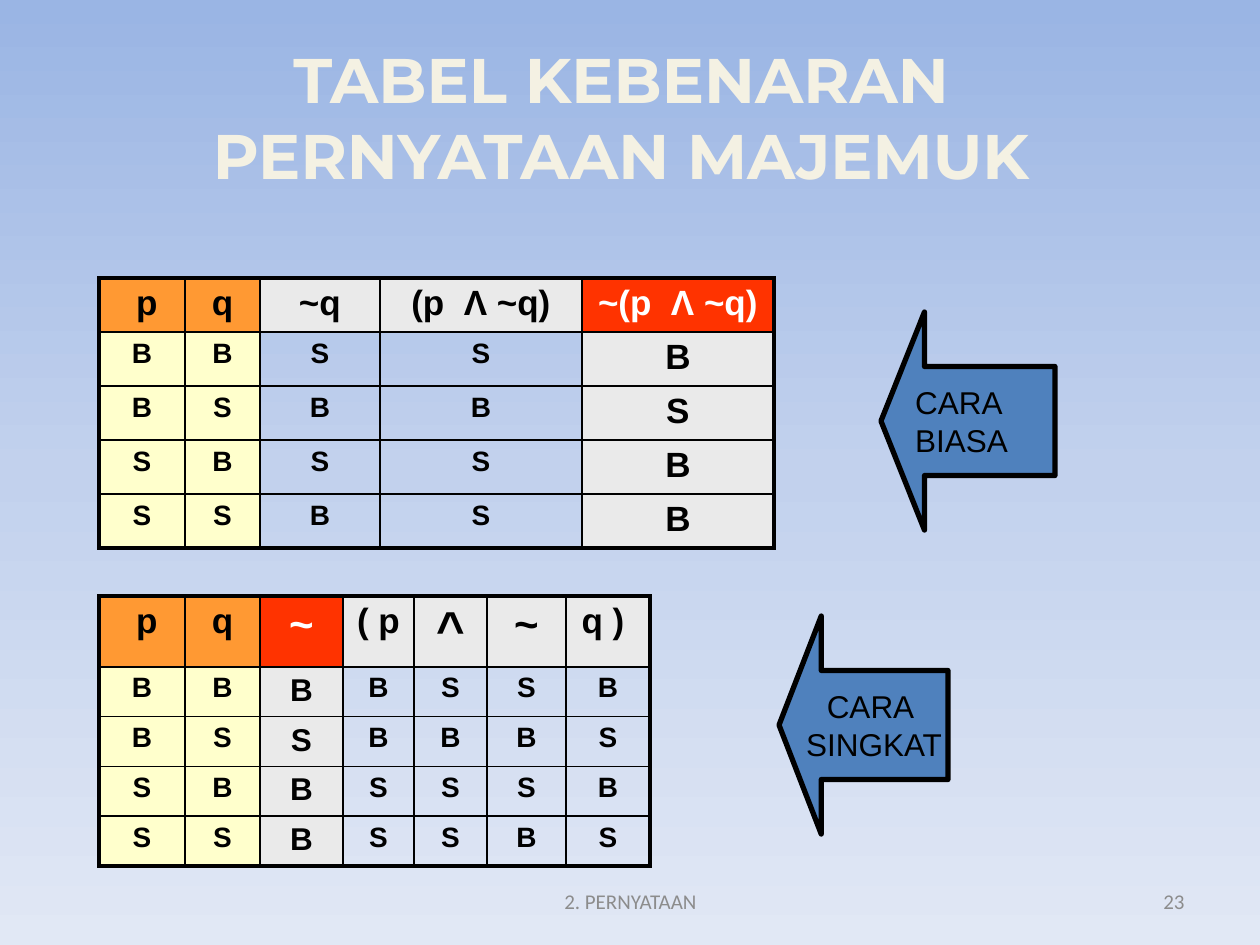
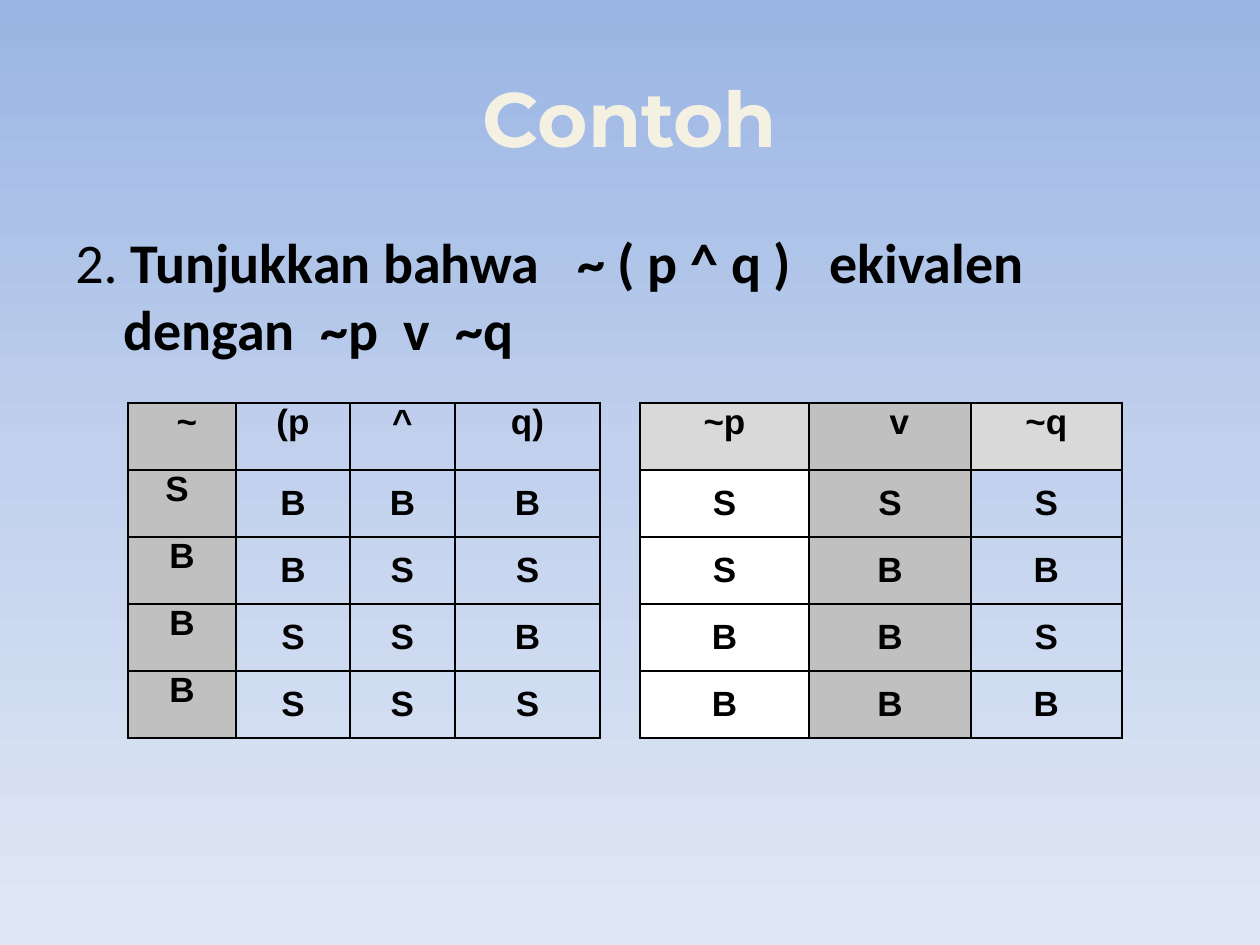
from copy import deepcopy
from dataclasses import dataclass
from typing import Optional

from lxml import etree
from pptx import Presentation, util as u
from pptx.dml.color import RGBColor
from pptx.enum import shapes, text
from pptx.oxml.ns import qn

EMU_PER_PX = 914400 / 126
TOP, MIDDLE = text.MSO_ANCHOR.TOP, text.MSO_ANCHOR.MIDDLE
LEFT, CENTER, RIGHT = text.PP_ALIGN.LEFT, text.PP_ALIGN.CENTER, text.PP_ALIGN.RIGHT


@dataclass(frozen=True)
class Theme:
    title_font: str = "Montserrat"
    body_font: str = "Calibri"
    table_font: str = "Arial"
    sky: tuple = ("9AB5E4", "C2D1ED", "E1E8F5")
    cream: str = "F4F1E3"
    title_edge: str = "054697"
    ink: str = "000000"
    white: str = "FFFFFF"
    footer: str = "8C8C8C"
    orange: str = "FF9933"
    yellow: str = "FFFFCC"
    red: str = "FF3300"
    pale: str = "EAEAEA"
    light_gray: str = "D9D9D9"
    gray: str = "C0C0C0"
    arrow: str = "4F81BD"
    long_title_size: int = 36
    title_size: int = 44
    body_size: int = 32
    header_size: int = 20
    tilde_size: int = 24
    caret_size: int = 28
    result_size: int = 18
    value_size: int = 16
    arrow_size: int = 18
    footer_size: int = 12
    thin: float = 1
    thick: float = 2.25
    arrow_line: float = 3


THEME = Theme()


@dataclass(frozen=True)
class Box:
    left: int
    top: int
    width: int
    height: int


@dataclass(frozen=True)
class Column:
    """One truth-table column: a header and one letter for each row below."""
    width: int
    header: str
    values: str
    header_fill: Optional[str] = None
    value_fill: Optional[str] = None
    header_size: int = THEME.header_size
    value_size: int = THEME.value_size
    header_color: str = THEME.ink
    value_anchor: text.MSO_ANCHOR = TOP


@dataclass(frozen=True)
class TruthTable:
    left: int
    top: int
    header_height: int
    row_height: int
    columns: tuple
    frame: float
    margin_x: int
    margin_y: int


@dataclass(frozen=True)
class Arrow:
    box: Box
    label: str
    align: text.PP_ALIGN


def px(length: int) -> u.Emu:
    return u.Emu(round(length * EMU_PER_PX))


def rgb(color: str) -> RGBColor:
    return RGBColor.from_string(color)


def style(paragraph, font: str, size: int, color: str, bold: bool = False,
          align: text.PP_ALIGN = CENTER) -> None:
    paragraph.alignment = align
    for run in paragraph.runs:
        run.font.name = font
        run.font.size = u.Pt(size)
        run.font.bold = bold
        run.font.color.rgb = rgb(color)


def line_xml(tag: str, width: float, color: str):
    line = etree.Element(qn(tag), w=str(u.Pt(width)))
    fill = etree.SubElement(line, qn("a:solidFill"))
    etree.SubElement(fill, qn("a:srgbClr"), val=color)
    return line


def add_slide(deck):
    """Add a blank slide with the shared sky gradient."""
    slide = deck.slides.add_slide(deck.slide_layouts[6])
    sky = slide.background.fill
    sky.gradient()
    sky.gradient_angle = 270
    stops = slide.element.find(".//" + qn("a:gsLst"))
    stops.append(deepcopy(stops[0]))
    for index, (stop, color) in enumerate(zip(sky.gradient_stops, THEME.sky)):
        stop.color.rgb = rgb(color)
        stop.position = index / 2
    return slide


def add_text(slide, box: Box, words: str, anchor: text.MSO_ANCHOR = MIDDLE):
    """Add a wrapping text box and return its paragraph."""
    frame = slide.shapes.add_textbox(
        px(box.left), px(box.top), px(box.width), px(box.height)).text_frame
    frame.word_wrap = True
    frame.vertical_anchor = anchor
    frame.text = words
    return frame.paragraphs[0]


def add_title(slide, words: str, size: int) -> None:
    title = add_text(slide, Box(63, 38, 1134, 157), words)
    style(title, THEME.title_font, size, THEME.cream, bold=True)
    for run in title.runs:
        run.font._element.insert(0, line_xml("a:ln", 1, THEME.title_edge))


def add_footer(slide, chapter: str, number: str) -> None:
    for box, words, align in ((Box(431, 876, 399, 50), chapter, CENTER),
                              (Box(903, 876, 294, 50), number, RIGHT)):
        style(add_text(slide, box, words), THEME.body_font, THEME.footer_size,
              THEME.footer, align=align)


def add_arrow(slide, arrow: Arrow) -> None:
    box = arrow.box
    shape = slide.shapes.add_shape(
        shapes.MSO_SHAPE.LEFT_ARROW,
        px(box.left), px(box.top), px(box.width), px(box.height))
    shape.adjustments[0], shape.adjustments[1] = 0.5, 0.25
    shape.shadow.inherit = False
    shape.fill.solid()
    shape.fill.fore_color.rgb = rgb(THEME.arrow)
    shape.line.color.rgb = rgb(THEME.ink)
    shape.line.width = u.Pt(THEME.arrow_line)
    frame = shape.text_frame
    frame.word_wrap = False
    frame.vertical_anchor = MIDDLE
    frame.text = arrow.label
    for paragraph in frame.paragraphs:
        style(paragraph, THEME.table_font, THEME.arrow_size, THEME.ink,
              align=arrow.align)


def add_truth_table(slide, spec: TruthTable):
    heights = [spec.header_height] + [spec.row_height] * len(spec.columns[0].values)
    last_row, last_col = len(heights) - 1, len(spec.columns) - 1
    table = slide.shapes.add_table(
        len(heights), len(spec.columns), px(spec.left), px(spec.top),
        px(sum(column.width for column in spec.columns)), px(sum(heights))).table
    table.first_row = table.horz_banding = False
    for row, height in zip(table.rows, heights):
        row.height = px(height)
    for c, column in enumerate(spec.columns):
        table.columns[c].width = px(column.width)
        for r, words in enumerate((column.header, *column.values)):
            cell = table.cell(r, c)
            edges = {"a:lnL": c == 0, "a:lnR": c == last_col,
                     "a:lnT": r == 0, "a:lnB": r == last_row}
            properties = cell._tc.get_or_add_tcPr()
            for tag, outer in edges.items():
                width = spec.frame if outer else THEME.thin
                properties.append(line_xml(tag, width, THEME.ink))
            if r == 0:
                fill, size, color, anchor = (column.header_fill, column.header_size,
                                             column.header_color, TOP)
            else:
                fill, size, color, anchor = (column.value_fill, column.value_size,
                                             THEME.ink, column.value_anchor)
            if fill:
                cell.fill.solid()
                cell.fill.fore_color.rgb = rgb(fill)
            else:
                cell.fill.background()
            cell.margin_left = cell.margin_right = px(spec.margin_x)
            cell.margin_top = cell.margin_bottom = px(spec.margin_y)
            cell.vertical_anchor = anchor
            cell.text_frame.text = words
            style(cell.text_frame.paragraphs[0], THEME.table_font, size, color, bold=True)
    return table


def step(width: int, header: str, values: str, size: int = THEME.header_size) -> Column:
    """An intermediate column of a compound statement."""
    return Column(width, header, values, THEME.pale, header_size=size)


def result(width: int, header: str, values: str, header_size: int, size: int) -> Column:
    """The column holding the final truth values."""
    return Column(width, header, values, THEME.red, THEME.pale, header_size, size,
                  THEME.white)


def proof(width: int, header: str, values: str, header_fill: Optional[str] = None,
          value_fill: Optional[str] = None, anchor: text.MSO_ANCHOR = MIDDLE) -> Column:
    """A column of the equivalence example."""
    return Column(width, header, values, header_fill, value_fill,
                  value_size=THEME.header_size, value_anchor=anchor)


def build_compound_slide(deck) -> None:
    slide = add_slide(deck)
    add_title(slide, "TABEL KEBENARAN  PERNYATAAN MAJEMUK ", THEME.long_title_size)
    add_footer(slide, "2. PERNYATAAN", "23")
    premises = (Column(86, " p", "BBSS", THEME.orange, THEME.yellow),
                Column(75, "q", "BSBS", THEME.orange, THEME.yellow))
    usual = (*premises, step(120, "~q", "SBSB"), step(202, "(p  Λ ~q)", "SBSS"),
             result(192, "~(p  Λ ~q)", "BSBB", THEME.header_size, THEME.header_size))
    short = (*premises, result(83, "~", "BSBB", THEME.tilde_size, THEME.result_size),
             step(71, "( p", "BBSS"), step(73, "^", "SBSS", THEME.caret_size),
             step(79, "~", "SBSB", THEME.tilde_size), step(84, "q ) ", "BSBS"))
    for top, header_height, row_height, columns in ((278, 53, 52, usual),
                                                    (596, 67, 48, short)):
        add_truth_table(slide, TruthTable(99, top, header_height, row_height, columns,
                                          THEME.thick, 13, 6))
    for arrow in (Arrow(Box(881, 312, 174, 218), "CARA\nBIASA", LEFT),
                  Arrow(Box(779, 616, 169, 218), "CARA \nSINGKAT", CENTER)):
        add_arrow(slide, arrow)


def build_example_slide(deck) -> None:
    slide = add_slide(deck)
    add_title(slide, "Contoh", THEME.title_size)
    task = add_text(slide, Box(63, 221, 1134, 624), "2. ", TOP)
    task.add_run().text = "Tunjukkan bahwa   ~ ( p ^ q )   ekivalen  dengan  ~p  v  ~q"
    hanging = task._p.get_or_add_pPr()
    hanging.set("marL", str(px(48)))
    hanging.set("indent", str(px(-48)))
    style(task, THEME.body_font, THEME.body_size, THEME.ink, align=LEFT)
    task.runs[1].font.bold = True

    negated_and = (proof(108, " ~", ("S ", "B", "B", "B"), THEME.gray, THEME.gray, TOP),
                   proof(114, "(p", "BBSS"), proof(105, "^", "BSSS"),
                   proof(145, "q)", "BSBS"))
    or_of_negations = (proof(169, "~p", "SSBB", THEME.light_gray, THEME.white),
                       proof(162, "v", "SBBB", THEME.gray, THEME.gray),
                       proof(151, "~q", "SBSB", THEME.light_gray))
    for left, columns in ((128, negated_and), (640, or_of_negations)):
        table = add_truth_table(slide, TruthTable(left, 403, 67, 67, columns,
                                                  THEME.thin, 9, 0))
    disjunction = table.cell(0, 1)
    disjunction.margin_left = px(28)


def main() -> None:
    deck = Presentation()
    deck.slide_width, deck.slide_height = px(1260), px(945)
    build_compound_slide(deck)
    build_example_slide(deck)
    deck.save("out.pptx")


if __name__ == "__main__":
    main()
